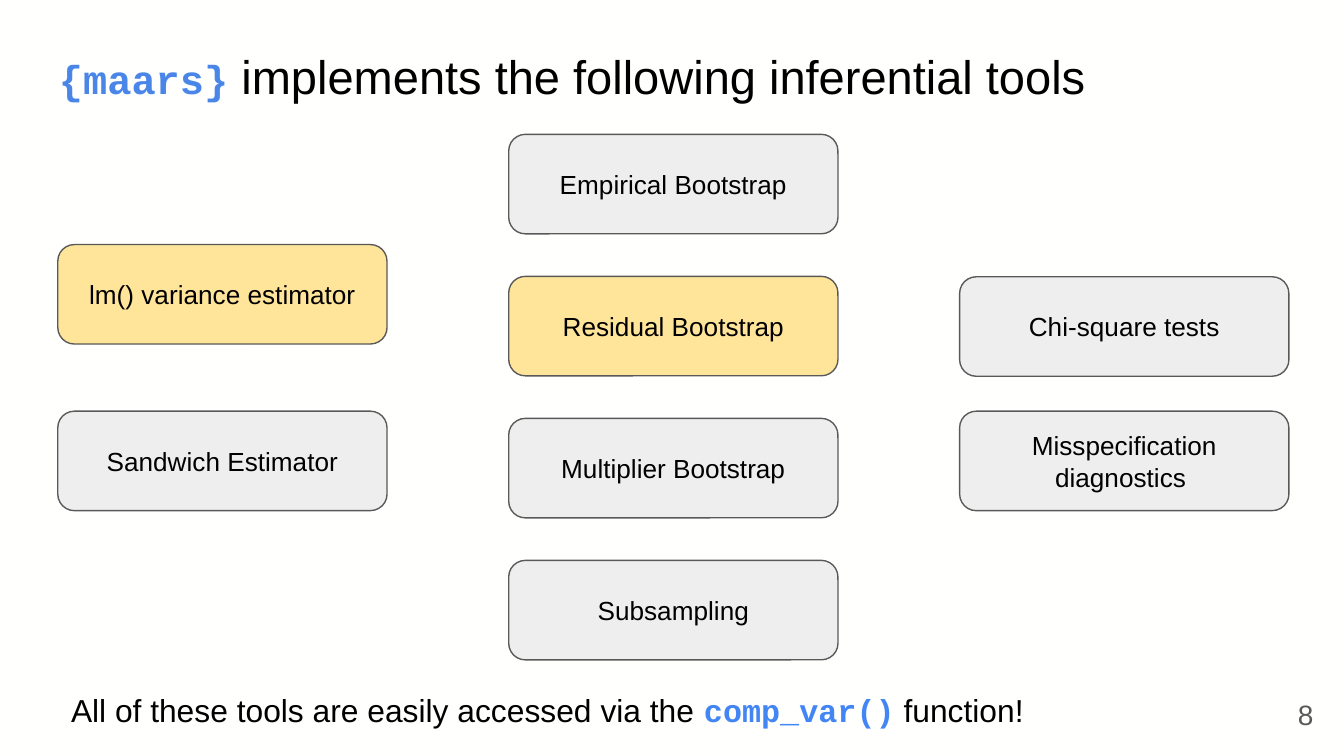
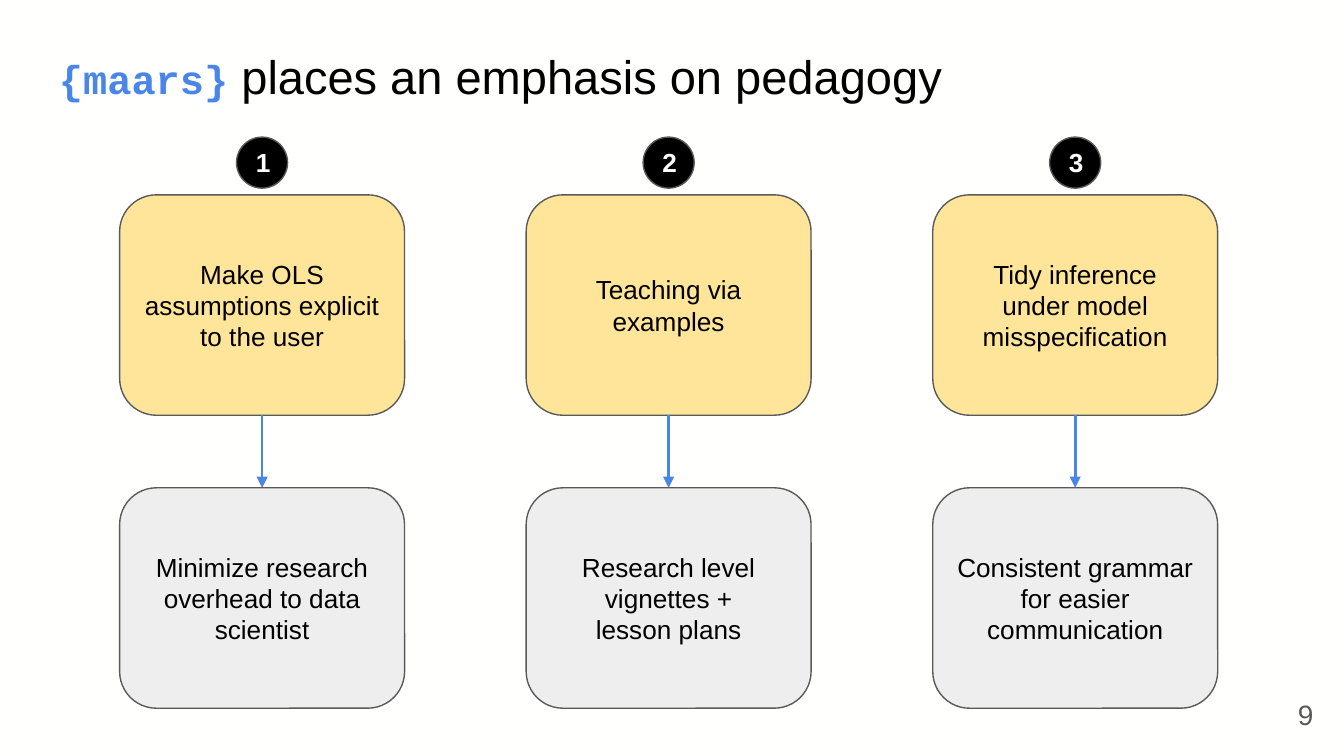
from lxml import etree
from pptx import Presentation
from pptx.dml.color import RGBColor
from pptx.enum.shapes import MSO_CONNECTOR, MSO_SHAPE
from pptx.enum.text import MSO_ANCHOR, PP_ALIGN
from pptx.oxml.ns import qn
from pptx.util import Inches, Pt

ROUND, OVAL = MSO_SHAPE.ROUNDED_RECTANGLE, MSO_SHAPE.OVAL
STRAIGHT = MSO_CONNECTOR.STRAIGHT
LEFT, CENTER, RIGHT = PP_ALIGN.LEFT, PP_ALIGN.CENTER, PP_ALIGN.RIGHT
TOP, MIDDLE = MSO_ANCHOR.TOP, MSO_ANCHOR.MIDDLE

PAPER = RGBColor(0xFF, 0xFF, 0xFE)
WHITE = RGBColor(0xFF, 0xFF, 0xFF)
BLACK = RGBColor(0, 0, 0)
GRAY = RGBColor(0x59, 0x59, 0x59)
PALE = RGBColor(0xEE, 0xEE, 0xEE)
GOLD = RGBColor(0xFF, 0xE5, 0x99)
BLUE = RGBColor(0x4A, 0x86, 0xE8)
AZURE = RGBColor(0x42, 0x85, 0xF4)
SANS, MONO = "Arial", "Courier New"

# Content: a paragraph is a list of runs, (text, changed format)
PACKAGE = ("{maars}", dict(size=21.6, font=MONO, color=BLUE, bold=True))
TOOLS = [  # top of first box, top of last box, (label, fill)
    (1.82, 3.06, [("lm() variance estimator", GOLD), ("Sandwich Estimator", PALE)]),
    (1.00, 4.17, [("Empirical Bootstrap", PALE), ("Residual Bootstrap", GOLD),
                  ("Multiplier Bootstrap", PALE), ("Subsampling", PALE)]),
    (2.06, 3.06, [("Chi-square tests", PALE), ("Misspecification diagnostics ", PALE)]),
]
ACCESS = [("All of these tools are easily accessed via the ", {}),
          ("comp_var()", dict(font=MONO, color=AZURE, bold=True)),
          (" function!", {})]
GOALS = [  # aim, means
    ("Make OLS assumptions explicit\nto the user",
     "Minimize research overhead to data scientist"),
    ("Teaching via examples", "Research level vignettes +\nlesson plans"),
    ("Tidy inference under model misspecification",
     "Consistent grammar for easier communication"),
]

# Grid, in inches
WIDE = 10
HIGH = WIDE * 9 / 16
TOOL_W, TOOL_H = 2.45, 0.74
TOOL_ENDS = 0.43, 7.14
GOAL_W, GOAL_H = 2.12, 1.64
GOAL_ENDS = 0.89, 6.94
AIM_Y, MEANS_Y = 1.45, 3.63
DOT, DOT_Y = 0.38, 1.02
DIGIT_W, DIGIT_H = 0.29, 0.44


def spread(first, last, count):
    """Equal steps from first to last."""
    step = (last - first) / (count - 1)
    return [first + step * i for i in range(count)]


def write(shape, text, size=14, font=SANS, color=BLACK, bold=False,
          align=LEFT, anchor=TOP):
    frame = shape.text_frame
    frame.word_wrap = True
    frame.vertical_anchor = anchor
    frame.margin_left = frame.margin_right = Inches(0.1)
    frame.margin_top = frame.margin_bottom = Inches(0.1)
    base = dict(size=size, font=font, color=color, bold=bold)
    paras = [[(t, {})] for t in text.split("\n")] if isinstance(text, str) else [text]
    for i, runs in enumerate(paras):
        para = frame.add_paragraph() if i else frame.paragraphs[0]
        para.alignment = align
        for words, change in runs:
            look = {**base, **change}
            run = para.add_run()
            run.text = words
            run.font.size = Pt(look["size"])
            run.font.name = look["font"]
            run.font.bold = look["bold"]
            run.font.color.rgb = look["color"]


def label(slide, box, text, **look):
    write(slide.shapes.add_textbox(*map(Inches, box)), text, **look)


def block(slide, kind, box, fill, text=None):
    shape = slide.shapes.add_shape(kind, *map(Inches, box))
    shape.shadow.inherit = False
    shape.fill.solid()
    shape.fill.fore_color.rgb = fill
    shape.line.color.rgb = GRAY
    shape.line.width = Pt(0.75)
    if text:
        write(shape, text, align=CENTER, anchor=MIDDLE)


def arrow(slide, x, top, end):
    line = slide.shapes.add_connector(STRAIGHT, *map(Inches, (x, top, x, end)))
    line.line.color.rgb = BLUE
    line.line.width = Pt(1.5)
    etree.SubElement(line.line._get_or_add_ln(), qn("a:tailEnd"), type="triangle")
    etree.SubElement(line._element.spPr, qn("a:effectLst"))


def badge(slide, mid, number):
    """Numbered dot centred on mid."""
    block(slide, OVAL, (mid - DOT / 2, DOT_Y, DOT, DOT), BLACK)
    top = DOT_Y + (DOT - DIGIT_H) / 2
    label(slide, (mid - DIGIT_W / 2, top, DIGIT_W, DIGIT_H), str(number),
          color=WHITE, bold=True)


def start(deck, title, number):
    """Slide with the shared background, title and page number."""
    slide = deck.slides.add_slide(deck.slide_layouts[6])
    slide.background.fill.solid()
    slide.background.fill.fore_color.rgb = PAPER
    label(slide, (0.34, 0.25, 9.32, 0.63), [PACKAGE, (" " + title, {})], size=25.2)
    label(slide, (9.27, 5.1, 0.6, 0.43), str(number), size=15, color=GRAY,
          align=RIGHT, anchor=MIDDLE)
    return slide


def tools(deck):
    slide = start(deck, "implements the following inferential tools", 8)
    for x, (first, last, boxes) in zip(spread(*TOOL_ENDS, len(TOOLS)), TOOLS):
        for y, (name, fill) in zip(spread(first, last, len(boxes)), boxes):
            block(slide, ROUND, (x, y, TOOL_W, TOOL_H), fill, name)
    label(slide, (0.43, 5.04, 7.45, 0.49), ACCESS, size=17)


def goals(deck):
    slide = start(deck, "places an emphasis on pedagogy", 9)
    columns = zip(spread(*GOAL_ENDS, len(GOALS)), GOALS)
    for number, (x, (aim, means)) in enumerate(columns, 1):
        mid = x + GOAL_W / 2
        badge(slide, mid, number)
        block(slide, ROUND, (x, AIM_Y, GOAL_W, GOAL_H), GOLD, aim)
        arrow(slide, mid, AIM_Y + GOAL_H, MEANS_Y)
        block(slide, ROUND, (x, MEANS_Y, GOAL_W, GOAL_H), PALE, means)


def main():
    deck = Presentation()
    deck.slide_width, deck.slide_height = Inches(WIDE), Inches(HIGH)
    tools(deck)
    goals(deck)
    deck.save("out.pptx")


if __name__ == "__main__":
    main()
